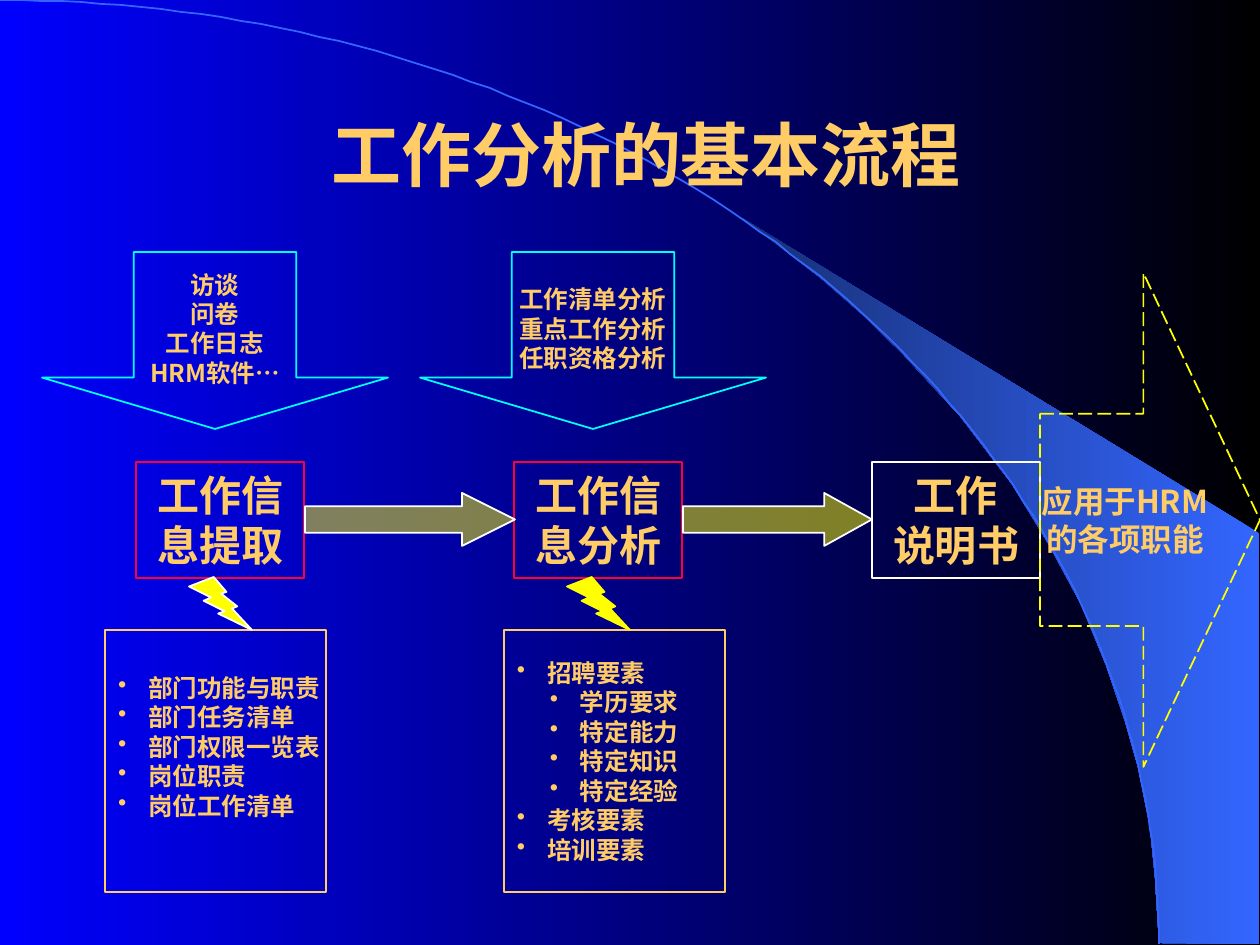
import math
from lxml import etree
from pptx import Presentation
from pptx.dml.color import RGBColor
from pptx.enum.dml import MSO_LINE
from pptx.enum.shapes import MSO_SHAPE
from pptx.enum.text import MSO_ANCHOR, PP_ALIGN
from pptx.oxml.ns import qn
from pptx.util import Pt

RECT = MSO_SHAPE.RECTANGLE
DOWN, RIGHT = MSO_SHAPE.DOWN_ARROW, MSO_SHAPE.RIGHT_ARROW
BOLT = MSO_SHAPE.LIGHTNING_BOLT
LONG_DASH = MSO_LINE.LONG_DASH
MIDDLE, CENTER, LEFT = MSO_ANCHOR.MIDDLE, PP_ALIGN.CENTER, PP_ALIGN.LEFT
SCALE = 914400 / 126
GOLD, YELLOW, WHITE, RED, CYAN = "FFCC66", "FFFF00", "FFFFFF", "FF0033", "00FFFF"
SANS = "Noto Sans CJK SC"


def px(value):
    return round(value * SCALE)


def rgb(value):
    return RGBColor.from_string(value)


deck = Presentation()
deck.slide_width, deck.slide_height = px(1260), px(945)
slide = deck.slides.add_slide(deck.slide_layouts[6])
shapes = slide.shapes

sweep_edge = [(1159, 943), (1259, 944), (1259, 533), (742, 218), (786, 251),
              (823, 280), (863, 315), (902, 353), (960, 416), (1012, 484),
              (1048, 543), (1081, 604), (1106, 665), (1125, 721), (1138, 767),
              (1150, 827), (1155, 877)]
sweep_path = shapes.build_freeform(*sweep_edge[0], scale=SCALE)
sweep_path.add_line_segments(sweep_edge[1:], close=True)
sweep = sweep_path.convert_to_shape()
sweep.shadow.inherit = False
sweep.line.fill.background()

for fill, colors in [(slide.background.fill, ("000000", "0000FF")),
                     (sweep.fill, ("3366FF", "172F75"))]:
    fill.gradient()
    fill.gradient_angle = 180
    for stop, color in zip(fill.gradient_stops, colors):
        stop.color.rgb = rgb(color)

arc_steps = 90
arc_points = [(1159 * math.sin(math.pi / 2 * i / arc_steps),
               944 * (1 - math.cos(math.pi / 2 * i / arc_steps)))
              for i in range(arc_steps + 1)]
arc_path = shapes.build_freeform(0, 0, scale=SCALE)
arc_path.add_line_segments(arc_points[1:], close=False)
arc = arc_path.convert_to_shape()
arc.shadow.inherit = False
arc.fill.background()
arc.line.color.rgb = rgb("3366FF")
arc.line.width = Pt(1)

departments = ["部门功能与职责", "部门任务清单", "部门权限一览表", "岗位职责", "岗位工作清单"]
elements = ["招聘要素", "\t学历要求", "\t特定能力", "\t特定知识", "\t特定经验", "考核要素", "培训要素"]
methods = ["访谈", "问卷", "工作日志", "HRM软件…"]
analyses = ["工作清单分析", "重点工作分析", "任职资格分析"]

flow = [
    (RECT, (136, 462, 168, 116), RED, ["工作信", "息提取"], {"size": 24}),
    (RECT, (514, 462, 168, 116), RED, ["工作信", "息分析"], {"size": 24}),
    (RECT, (105, 630, 221, 262), GOLD, departments, {"bullets": True, "bottom": 35}),
    (DOWN, (42, 252, 346, 177), CYAN, methods, {"adjust": (0.47, 0.29)}),
    (DOWN, (420, 252, 346, 177), CYAN, analyses, {"adjust": (0.47, 0.29)}),
    (RECT, (504, 630, 221, 262), GOLD, elements, {"bullets": True}),
    (BOLT, (189, 577, 63, 53), WHITE, [], {"fill": YELLOW}),
    (BOLT, (567, 577, 63, 53), YELLOW, [], {"fill": YELLOW}),
    (RECT, (872, 462, 168, 116), WHITE, ["工作", "说明书"], {"size": 24}),
    (RIGHT, (1040, 273, 220, 494), YELLOW, ["应用于HRM", "的各项职能"],
     {"size": 18, "adjust": (0.43, 0.53), "dash": LONG_DASH}),
    (RIGHT, (305, 493, 210, 53), WHITE, [],
     {"fill": YELLOW, "alpha": 50000, "adjust": (0.5, 1)}),
    (RIGHT, (683, 493, 189, 53), WHITE, [],
     {"fill": YELLOW, "alpha": 50000, "adjust": (0.5, 0.9)}),
]

title = shapes.add_textbox(*map(px, (126, 105, 1040, 116)))
title.text_frame.word_wrap = True
heading = title.text_frame.paragraphs[0]
heading.text = "工作分析的基本流程"
heading.alignment = CENTER
for key, value in {"name": "Times New Roman", "size": Pt(40), "bold": True}.items():
    setattr(heading.font, key, value)
heading.font.color.rgb = rgb(GOLD)

for kind, box, outline, lines, style in flow:
    step = shapes.add_shape(kind, *map(px, box))
    step.shadow.inherit = False
    step.line.color.rgb = rgb(outline)
    step.line.width = Pt(1)
    if "dash" in style:
        step.line.dash_style = style["dash"]
    for i, ratio in enumerate(style.get("adjust", ())):
        step.adjustments[i] = ratio
    if "fill" in style:
        step.fill.solid()
        step.fill.fore_color.rgb = rgb(style["fill"])
    else:
        step.fill.background()
    if "alpha" in style:
        tint = step.fill._xPr.find(".//" + qn("a:srgbClr"))
        etree.SubElement(tint, qn("a:alpha"), val=str(style["alpha"]))
    if not lines:
        continue

    frame = step.text_frame
    layout = {"word_wrap": False, "vertical_anchor": MIDDLE,
              "margin_left": px(13), "margin_right": px(13),
              "margin_top": px(6), "margin_bottom": px(style.get("bottom", 6))}
    for key, value in layout.items():
        setattr(frame, key, value)
    bulleted = style.get("bullets", False)
    for i, line in enumerate(lines):
        paragraph = frame.add_paragraph() if i else frame.paragraphs[0]
        paragraph.text = line.strip()
        paragraph.alignment = LEFT if bulleted else CENTER
        if bulleted:
            nested = line.startswith("\t")
            paragraph.level = int(nested)
            props = paragraph._p.get_or_add_pPr()
            props.set("marL", str(px(63 if nested else 30)))
            props.set("indent", str(px(-30)))
            bullet_color = etree.SubElement(props, qn("a:buClr"))
            etree.SubElement(bullet_color, qn("a:srgbClr"), val=GOLD)
            etree.SubElement(props, qn("a:buChar"), char="•")
        lettering = {"name": SANS, "size": Pt(style.get("size", 14)), "bold": True}
        for key, value in lettering.items():
            setattr(paragraph.font, key, value)
        paragraph.font.color.rgb = rgb(GOLD)

deck.save("out.pptx")
